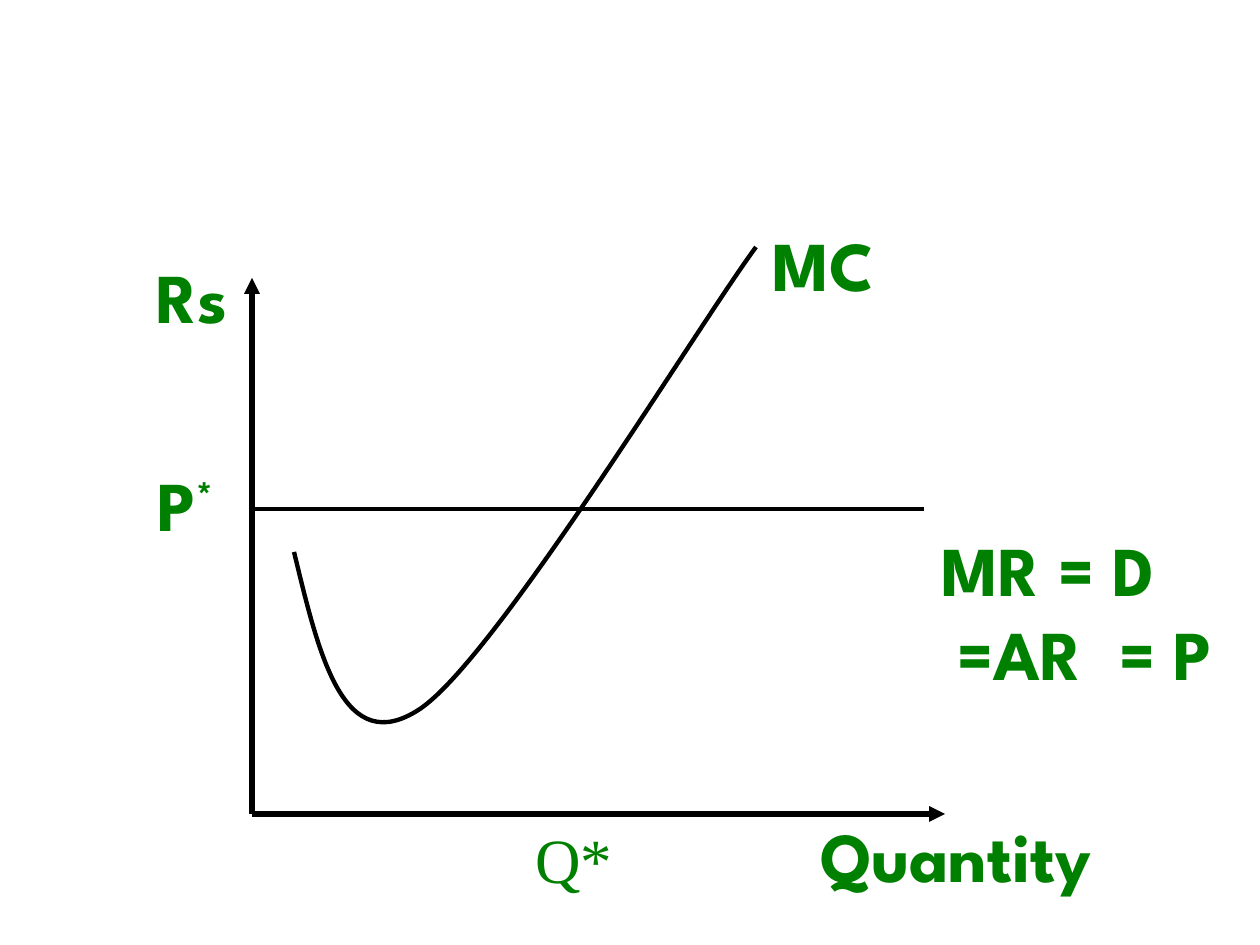
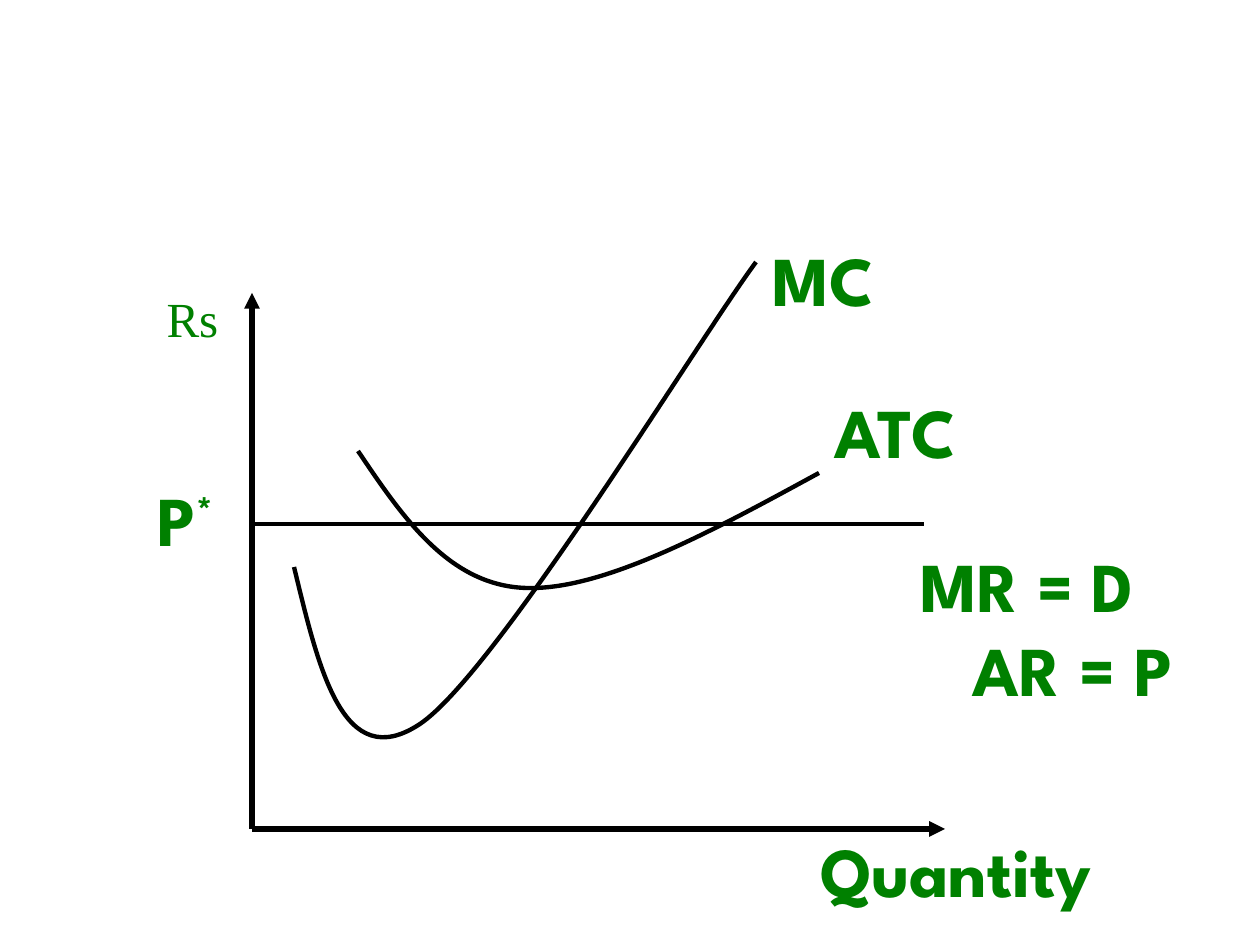
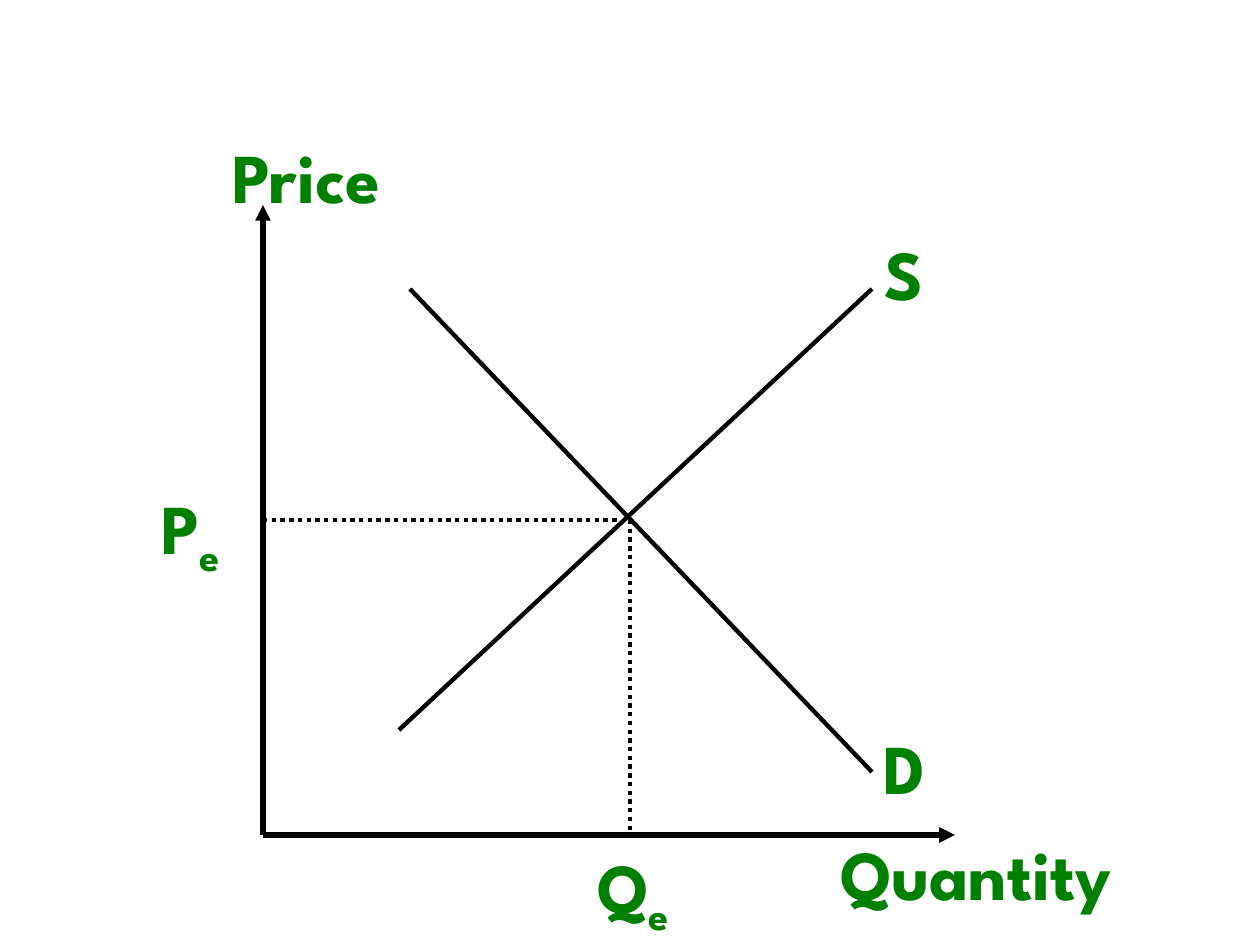
import dataclasses

import lxml.etree
import pptx
import pptx.dml.color
import pptx.enum.dml
import pptx.enum.shapes
import pptx.enum.text
import pptx.oxml.ns
import pptx.util

EMU_PER_PX = 914400 / 126
SLIDE_SIZE = (1260, 945)
BLANK_LAYOUT = 6


@dataclasses.dataclass(frozen=True)
class Theme:
    ink: str = "000000"
    label: str = "008000"
    display_font: str = "League Spartan"
    serif_font: str = "Times New Roman"
    label_size: int = 40
    quantity_size: int = 36
    small_size: int = 28
    axis_width: float = 3
    curve_width: float = 2.5
    superscript: int = 30
    subscript: int = -25


THEME = Theme()


def emu(px):
    return round(px * EMU_PER_PX)


def add_element(parent, tag, **attributes):
    element = lxml.etree.SubElement(parent, pptx.oxml.ns.qn(tag))
    for name, value in attributes.items():
        element.set(name, str(value))
    return element


def write_text(paragraph, text, *, font=THEME.display_font, size=THEME.label_size,
               bold=True, baseline=0, spacing=0):
    run = paragraph.add_run()
    run.text = text
    run.font.name = font
    run.font.size = pptx.util.Pt(size)
    run.font.bold = bold
    run.font.color.rgb = pptx.dml.color.RGBColor.from_string(THEME.label)
    properties = run.font._element
    if baseline:
        properties.set("baseline", str(baseline * 1000))
    if spacing:
        properties.set("spc", str(round(spacing * 100)))


class Diagram:
    """Holds the style and the current slide."""

    def __init__(self, presentation, theme):
        self.presentation = presentation
        self.theme = theme
        self.slide = None

    def new_slide(self):
        layout = self.presentation.slide_layouts[BLANK_LAYOUT]
        self.slide = self.presentation.slides.add_slide(layout)

    def style_line(self, line, width):
        line.color.rgb = pptx.dml.color.RGBColor.from_string(self.theme.ink)
        line.width = pptx.util.Pt(width)

    def line(self, start, end, *, width=None, dotted=False, arrow=None):
        connector = self.slide.shapes.add_connector(
            pptx.enum.shapes.MSO_CONNECTOR.STRAIGHT, *map(emu, start + end))
        self.style_line(connector.line, width or self.theme.curve_width)
        if dotted:
            connector.line.dash_style = pptx.enum.dml.MSO_LINE.ROUND_DOT
        properties = connector._element.spPr
        if arrow:
            add_element(properties.find(pptx.oxml.ns.qn("a:ln")), arrow, type="triangle")
        add_element(properties, "a:effectLst")

    def axes(self, left, top, bottom, right):
        width = self.theme.axis_width
        self.line((left, top), (left, bottom), width=width, arrow="a:headEnd")
        self.line((left, bottom), (right, bottom), width=width, arrow="a:tailEnd")

    def curve(self, start, *controls):
        """Draw Bezier segments, three control points each."""
        builder = self.slide.shapes.build_freeform(*start, scale=EMU_PER_PX)
        builder.add_line_segments(controls, close=False)
        shape = builder.convert_to_shape()
        shape.shadow.inherit = False
        shape.fill.background()
        self.style_line(shape.line, self.theme.curve_width)
        outline = next(shape._element.iter(pptx.oxml.ns.qn("a:path")))
        segments = outline.findall(pptx.oxml.ns.qn("a:lnTo"))
        for first in range(0, len(segments), 3):
            bezier = add_element(outline, "a:cubicBezTo")
            for segment in segments[first:first + 3]:
                bezier.append(segment[0])
                outline.remove(segment)

    def text_box(self, box, *, middle=False, wrap=False):
        shape = self.slide.shapes.add_textbox(*map(emu, box))
        frame = shape.text_frame
        frame.word_wrap = wrap
        frame.auto_size = pptx.enum.text.MSO_AUTO_SIZE.SHAPE_TO_FIT_TEXT
        if middle:
            frame.vertical_anchor = pptx.enum.text.MSO_ANCHOR.MIDDLE
        frame.paragraphs[0].alignment = pptx.enum.text.PP_ALIGN.CENTER
        return frame

    def label(self, text, box, *, script="", baseline=0, middle=False, wrap=False, **text_format):
        paragraph = self.text_box(box, middle=middle, wrap=wrap).paragraphs[0]
        write_text(paragraph, text, **text_format)
        if script:
            write_text(paragraph, script, baseline=baseline, **text_format)

    def equation(self, first, second, box, *, indent, gap=0):
        """Write two centred lines; gap widens the space between the parts of the second."""
        frame = self.text_box(box, wrap=True)
        write_text(frame.paragraphs[0], first)
        paragraph = frame.add_paragraph()
        paragraph.alignment = pptx.enum.text.PP_ALIGN.CENTER
        paragraph._p.get_or_add_pPr().set("marL", str(emu(indent)))
        for index, part in enumerate(second):
            if index:
                write_text(paragraph, " ", spacing=gap)
            write_text(paragraph, part)

    def firm(self, drop=0):
        """Draw the price-taking firm: axes, price line and marginal cost."""
        self.axes(252, 278 + drop, 814 + drop, 945)
        self.line((252, 509 + drop), (924, 509 + drop))
        cost_points = [(294, 552), (319, 655), (343, 760), (420, 709),
                       (496, 658), (699, 324), (756, 247)]
        self.curve(*[(x, y + drop) for x, y in cost_points])
        self.label("MC", (756, 215 + drop, 135, 97))
        self.label("Quantity", (788, 806 + drop, 336, 97))
        self.label("P", (140, 455 + drop, 91, 97), script="*",
                   baseline=self.theme.superscript, middle=True)


def build_marginal_cost(diagram):
    theme = diagram.theme
    diagram.new_slide()
    diagram.firm()
    diagram.label("Rs", (139, 247, 106, 97))
    diagram.equation("MR = D", ["=AR", "= P"], (863, 520, 370, 181), indent=74, gap=10.6)
    diagram.label("Q*", (523, 814, 102, 88), middle=True, font=theme.serif_font,
                  size=theme.quantity_size, bold=False)


def build_average_cost(diagram):
    theme = diagram.theme
    diagram.new_slide()
    diagram.firm(drop=15)
    diagram.label("Rs", (154, 282, 77, 72), font=theme.serif_font,
                  size=theme.small_size, bold=False)
    diagram.equation("MR = D", ["AR = P"], (862, 536, 330, 181), indent=92)
    diagram.curve((358, 451), (403, 518), (449, 585), (525, 588),
                  (602, 591), (711, 532), (819, 473))
    diagram.label("ATC", (816, 382, 159, 97), middle=True)


def build_equilibrium(diagram):
    subscript = diagram.theme.subscript
    diagram.new_slide()
    diagram.axes(263, 205, 835, 955)
    diagram.label("Price", (198, 127, 217, 97))
    # Supply and demand
    diagram.line((872, 289), (399, 730))
    diagram.line((410, 289), (872, 772))
    diagram.label("S", (872, 224, 63, 97))
    diagram.label("D", (866, 718, 77, 97))
    diagram.label("Quantity", (808, 824, 336, 97))
    # Equilibrium price and quantity
    diagram.line((630, 520), (630, 832), dotted=True)
    diagram.line((263, 520), (620, 520), dotted=True)
    diagram.label("P", (126, 478, 129, 108), script="e", baseline=subscript, wrap=True)
    diagram.label("Q", (581, 837, 105, 108), script="e", baseline=subscript)


def main():
    presentation = pptx.Presentation()
    presentation.slide_width, presentation.slide_height = map(emu, SLIDE_SIZE)
    diagram = Diagram(presentation, THEME)
    build_marginal_cost(diagram)
    build_average_cost(diagram)
    build_equilibrium(diagram)
    presentation.save("out.pptx")


if __name__ == "__main__":
    main()
